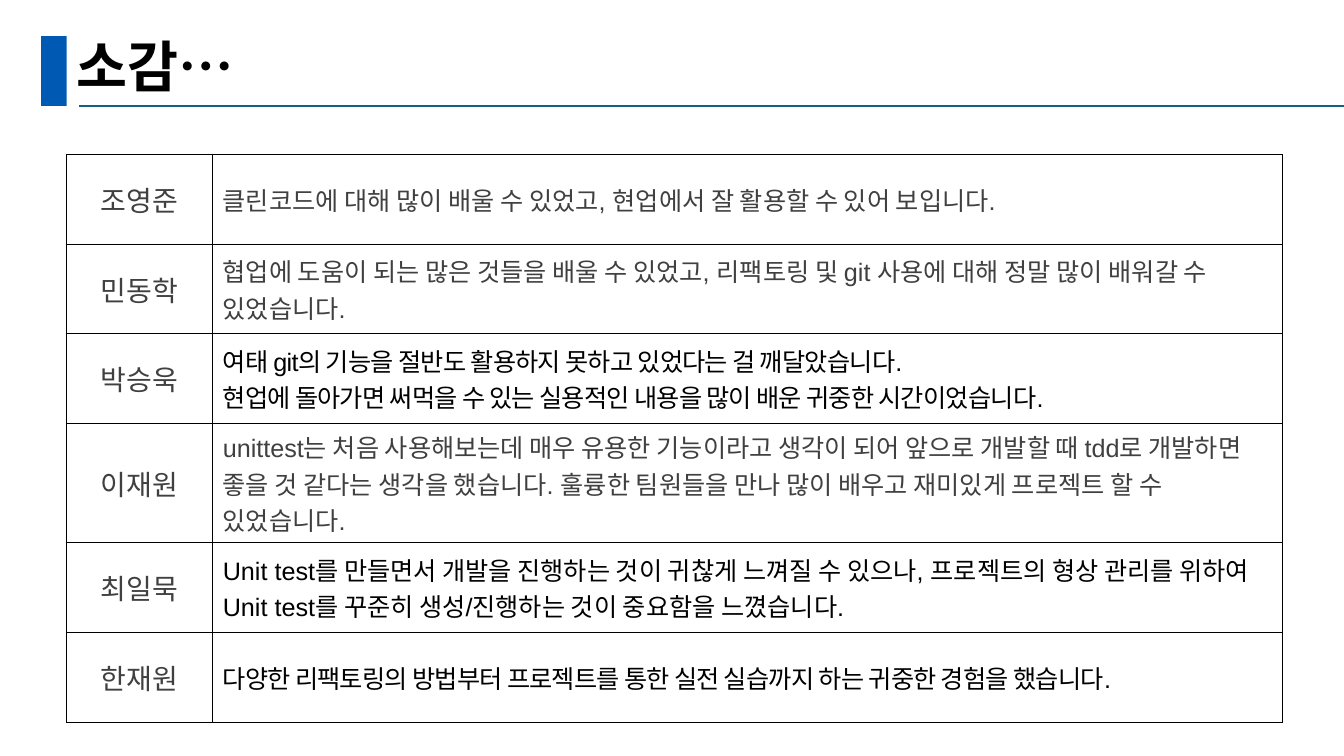
"""Build the slide of closing impressions from six team members."""
import pptx
import pptx.util
import pptx.dml.color
import pptx.enum.shapes
import pptx.enum.text
import pptx.oxml.ns
import lxml.etree

Cm, Pt = pptx.util.Cm, pptx.util.Pt
qn = pptx.oxml.ns.qn
ALIGN = pptx.enum.text.PP_ALIGN
MIDDLE = pptx.enum.text.MSO_ANCHOR.MIDDLE
KOREAN = "Noto Sans CJK KR"
GREY, BLACK = "404040", "000000"


def rgb(value):
    return pptx.dml.color.RGBColor.from_string(value)


def write(p, text, size=18, color=GREY, font="Arial", bold=False, spacing=0, align=ALIGN.LEFT):
    p.alignment = align
    r = p.add_run()
    r.text = text
    r.font.size, r.font.bold, r.font.name = Pt(size), bold, font
    r.font.color.rgb = rgb(color)
    rPr = r.font._element
    rPr.set("spc", str(int(spacing * 100)))
    ea = lxml.etree.Element(qn("a:ea"), typeface=KOREAN)
    rPr.find(qn("a:latin")).addnext(ea)


prs = pptx.Presentation()
prs.slide_width, prs.slide_height = Cm(33.87), Cm(19.05)
s = prs.slides.add_slide(prs.slide_layouts[5])

bar = s.shapes.add_shape(pptx.enum.shapes.MSO_SHAPE.RECTANGLE, Cm(1.04), Cm(0.91), Cm(0.64), Cm(1.76))
bar.shadow.inherit = False
bar.fill.solid()
bar.fill.fore_color.rgb = rgb("005AB4")
bar.line.fill.background()

rule = s.shapes.add_connector(pptx.enum.shapes.MSO_CONNECTOR.STRAIGHT, Cm(2), Cm(2.67), Cm(33.87), Cm(2.67))
rule.line.color.rgb = rgb("156082")
rule.line.width = Pt(1.5)
lxml.etree.SubElement(rule._element.spPr, qn("a:effectLst"))

title = s.shapes.title
title.left, title.top, title.width, title.height = Cm(1.68), Cm(0.86), Cm(29.21), Cm(1.8)
tf = title.text_frame
tf.auto_size = pptx.enum.text.MSO_AUTO_SIZE.NONE
tf.vertical_anchor = MIDDLE
tf.paragraphs[0].line_spacing = 0.9
write(tf.paragraphs[0], "소감…", size=39.6, color=BLACK, font=KOREAN, bold=True)

impressions = [
    ("조영준", GREY, 0, ["클린코드에 대해 많이 배울 수 있었고, 현업에서 잘 활용할 수 있어 보입니다."]),
    ("민동학", GREY, 0, ["협업에 도움이 되는 많은 것들을 배울 수 있었고, 리팩토링 및 git 사용에 대해 "
                      "정말 많이 배워갈 수 있었습니다."]),
    ("박승욱", BLACK, -0.5, ["여태 git의 기능을 절반도 활용하지 못하고 있었다는 걸 깨달았습니다.",
                          "현업에 돌아가면 써먹을 수 있는 실용적인 내용을 많이 배운 귀중한 시간이었습니다."]),
    ("이재원", GREY, 0, ["unittest는 처음 사용해보는데 매우 유용한 기능이라고 생각이 되어 앞으로 개발할 때 "
                      "tdd로 개발하면 좋을 것 같다는 생각을 했습니다. 훌륭한 팀원들을 만나 많이 배우고 "
                      "재미있게 프로젝트 할 수 있었습니다."]),
    ("최일묵", BLACK, 0, ["Unit test를 만들면서 개발을 진행하는 것이 귀찮게 느껴질 수 있으나, 프로젝트의 형상 "
                       "관리를 위하여 Unit test를 꾸준히 생성/진행하는 것이 중요함을 느꼈습니다."]),
    ("한재원", BLACK, -0.5, ["다양한 리팩토링의 방법부터 프로젝트를 통한 실전 실습까지 하는 귀중한 경험을 했습니다."]),
]
row_height = 2.26
table = s.shapes.add_table(len(impressions), 2, Cm(1.68), Cm(3.89), Cm(30.65),
                           Cm(row_height * len(impressions))).table
table.first_row = table.horz_banding = False
table.columns[0].width, table.columns[1].width = Cm(3.68), Cm(26.97)

for row, (name, color, spacing, lines) in zip(table.rows, impressions):
    row.height = Cm(row_height)
    name_cell, text_cell = row.cells
    write(name_cell.text_frame.paragraphs[0], name, size=20, align=ALIGN.CENTER)
    tf = text_cell.text_frame
    for i, line in enumerate(lines):
        p = tf.add_paragraph() if i else tf.paragraphs[0]
        write(p, line, color=color, spacing=spacing)
    for cell in row.cells:
        cell.vertical_anchor = MIDDLE
        tcPr = cell._tc.get_or_add_tcPr()
        for side in ("a:lnL", "a:lnR", "a:lnT", "a:lnB"):
            ln = lxml.etree.SubElement(tcPr, qn(side), w=str(Pt(0.75)))
            fill = lxml.etree.SubElement(ln, qn("a:solidFill"))
            lxml.etree.SubElement(fill, qn("a:srgbClr"), val=BLACK)
        cell.fill.solid()
        cell.fill.fore_color.rgb = rgb("FFFFFF")

prs.save("out.pptx")
